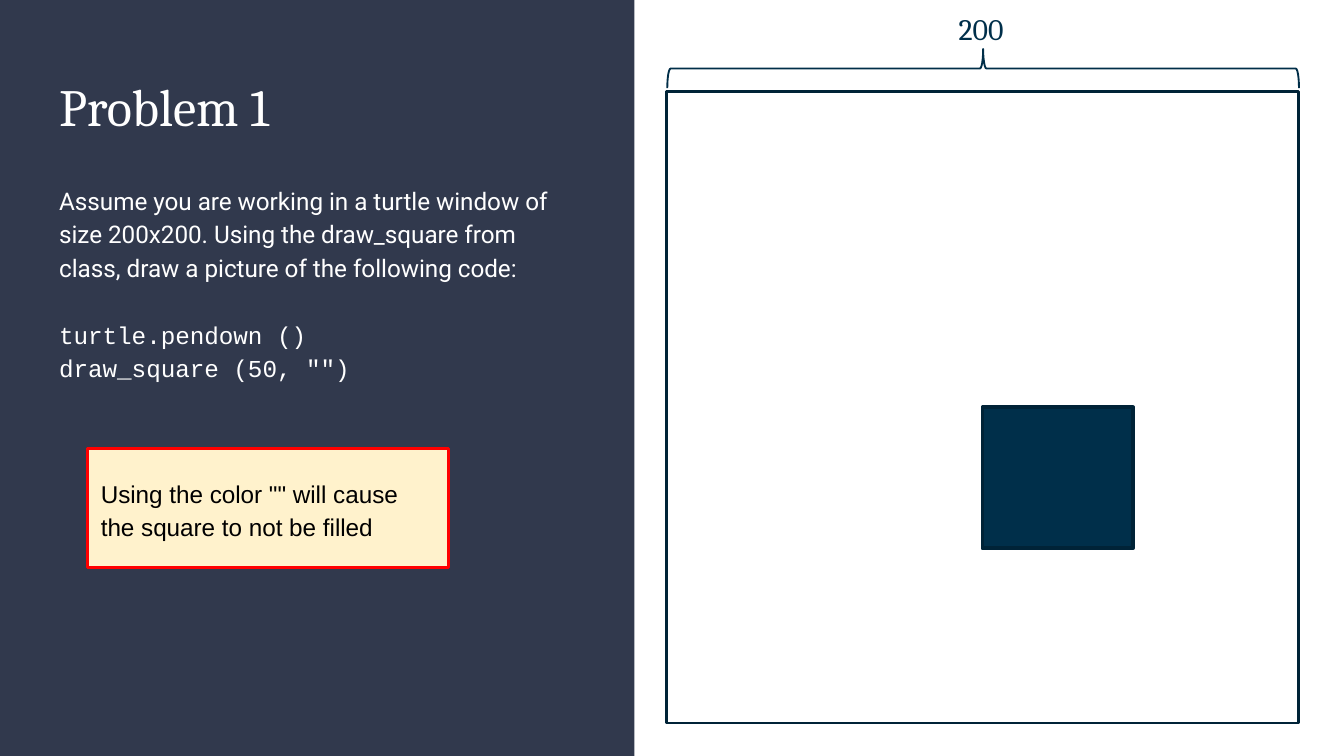
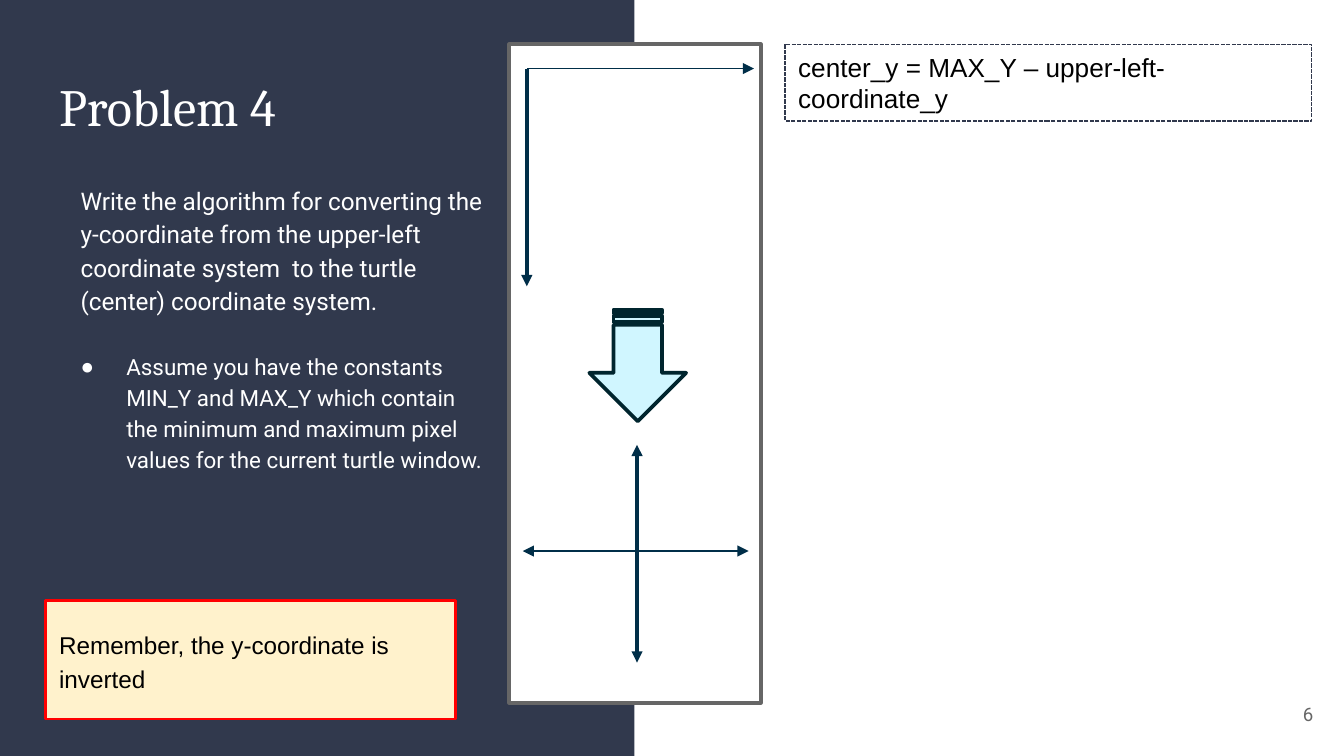
"""Builds two turtle-graphics problem slides with a dark panel on the left."""
from lxml.etree import SubElement
from pptx import Presentation
from pptx.dml.color import RGBColor
from pptx.enum.dml import MSO_LINE
from pptx.enum.shapes import MSO_CONNECTOR, MSO_SHAPE
from pptx.enum.text import MSO_ANCHOR, MSO_AUTO_SIZE, PP_ALIGN
from pptx.oxml.ns import qn
from pptx.util import Emu, Pt

PX = 9144
SLIDE_WIDTH = 1000
SLIDE_HEIGHT = SLIDE_WIDTH * 9 / 16
PANEL_BOX = (0, 0, 472, SLIDE_HEIGHT)
TITLE_BOX = (34, 45, 405, 70)

PANEL = RGBColor(0x31, 0x39, 0x4D)
WHITE = RGBColor(0xFF, 0xFF, 0xFF)
BLACK = RGBColor(0x00, 0x00, 0x00)
CREAM = RGBColor(0xFF, 0xF2, 0xCC)
RED = RGBColor(0xFF, 0x00, 0x00)
GRAY = RGBColor(0x66, 0x66, 0x66)
NAVY = RGBColor(0x00, 0x2F, 0x4A)
AXIS = RGBColor(0x00, 0x2E, 0x48)
OUTLINE = RGBColor(0x00, 0x23, 0x37)
ICE = RGBColor(0xD0, 0xF6, 0xFF)
ARROW_EDGE = RGBColor(0x00, 0x25, 0x2E)

SERIF, SANS, BODY, CODE = "Cambria", "Arial", "Roboto", "Courier New"

PROBLEM_1 = {
    "title": "Problem 1",
    "body_box": (34, 125, 405, 311),
    "body": [
        {"text": "Assume you are working in a turtle window of size 200x200. "
                 "Using the draw_square from class, draw a picture of the following code:"},
        {"text": "turtle.pendown ()", "font": CODE, "before": 18},
        {"text": "draw_square (50, \"\")", "font": CODE},
    ],
    "note": "Using the color \"\" will cause the square to not be filled",
    "note_box": (65, 334, 269, 88),
}
PROBLEM_4 = {
    "title": "Problem 4",
    "body_box": (34, 125, 337, 311),
    "body": [
        {"text": "Write the algorithm for converting the y-coordinate from the upper-left "
                 "coordinate system  to the turtle (center) coordinate system.",
         "indent": (16, 0)},
        {"text": "Assume you have the constants MIN_Y and MAX_Y which contain the minimum "
                 "and maximum pixel values for the current turtle window.",
         "indent": (50, -34), "size": 12, "before": 18, "bullet": "●"},
    ],
    "note": "Remember, the y-coordinate is inverted",
    "note_box": (34, 447, 305, 88),
}
WINDOW_SIZE = "200"
FORMULA = "center_y = MAX_Y – upper-left-coordinate_y"
PAGE_NUMBER = "6"

AXES = [
    {"start": (389, 410), "end": (557, 410), "width": 0.75, "heads": ("headEnd", "tailEnd")},
    {"start": (474, 493), "end": (474, 331), "width": 2, "heads": ("headEnd", "tailEnd")},
    {"start": (392, 51), "end": (561, 51), "width": 0.75, "heads": ("tailEnd",)},
    {"start": (392, 213), "end": (392, 51), "width": 2, "heads": ("headEnd",)},
]


def scaled(lengths):
    return [Emu(length * PX) for length in lengths]


def place(shape, box):
    shape.left, shape.top, shape.width, shape.height = scaled(box)


def paint(shape, fill=None, line=None, width=1):
    if fill is None:
        shape.fill.background()
    else:
        shape.fill.solid()
        shape.fill.fore_color.rgb = fill
    if line is None:
        shape.line.fill.background()
    else:
        shape.line.color.rgb = line
        shape.line.width = Pt(width)


def add_figure(slide, kind, box, fill=None, line=None, width=1, rotation=0):
    shape = slide.shapes.add_shape(kind, *scaled(box))
    shape.shadow.inherit = False
    shape.rotation = rotation
    paint(shape, fill, line, width)
    return shape


def set_frame(shape, anchor=MSO_ANCHOR.TOP, side=10, edge=10):
    frame = shape.text_frame
    frame.word_wrap = True
    frame.auto_size = MSO_AUTO_SIZE.NONE
    frame.vertical_anchor = anchor
    frame.margin_left, frame.margin_top, frame.margin_right, frame.margin_bottom = scaled(
        (side, edge, side, edge))
    return frame


def write(paragraph, text, font, size, color, align=PP_ALIGN.LEFT):
    paragraph.alignment = align
    run = paragraph.add_run()
    run.text = text
    run.font.name, run.font.size = font, Pt(size)
    run.font.color.rgb = color


def set_list_style(paragraph, indent=(0, 0), bullet=None, before=0):
    paragraph.line_spacing = 1.15
    paragraph.space_before = Pt(before)
    properties = paragraph._p.get_or_add_pPr()
    margin, first_line = scaled(indent)
    properties.set("marL", str(margin))
    properties.set("indent", str(first_line))
    if bullet is None:
        SubElement(properties, qn("a:buNone"))
    else:
        bullet_color = SubElement(properties, qn("a:buClr"))
        SubElement(bullet_color, qn("a:srgbClr"), val=str(WHITE))
        SubElement(properties, qn("a:buFont"), typeface=SANS)
        SubElement(properties, qn("a:buChar"), char=bullet)


def add_panel(slide, layout):
    panel = add_figure(slide, MSO_SHAPE.RECTANGLE, PANEL_BOX, PANEL)
    layout.shapes.element.insert(2, panel.element)


def add_problem(presentation, layout, content):
    slide = presentation.slides.add_slide(layout)
    title, body, note = slide.placeholders

    place(title, TITLE_BOX)
    write(set_frame(title).paragraphs[0], content["title"], SERIF, 28, WHITE)

    place(body, content["body_box"])
    frame = set_frame(body)
    for index, item in enumerate(content["body"]):
        paragraph = frame.add_paragraph() if index else frame.paragraphs[0]
        set_list_style(paragraph, item.get("indent", (0, 0)), item.get("bullet"),
                       item.get("before", 0))
        write(paragraph, item["text"], item.get("font", BODY), item.get("size", 13), WHITE)

    place(note, content["note_box"])
    paint(note, CREAM, RED, 1.5)
    paragraph = set_frame(note, MSO_ANCHOR.MIDDLE).paragraphs[0]
    set_list_style(paragraph)
    write(paragraph, content["note"], SANS, 13, BLACK)
    return slide


def draw_turtle_window(slide):
    add_figure(slide, MSO_SHAPE.RECTANGLE, (496, 68, 470, 470), line=OUTLINE, width=1.5)
    add_figure(slide, MSO_SHAPE.LEFT_BRACE, (717, -184, 29, 470), line=AXIS, rotation=90)
    label = slide.shapes.add_textbox(*scaled((696, 3, 68, 37)))
    paragraph = set_frame(label, edge=5).paragraphs[0]
    write(paragraph, WINDOW_SIZE, SERIF, 16, NAVY, PP_ALIGN.CENTER)
    add_figure(slide, MSO_SHAPE.RECTANGLE, (731, 303, 112, 105), NAVY, OUTLINE, 2)


def add_axis(slide, start, end, width, heads):
    axis = slide.shapes.add_connector(MSO_CONNECTOR.STRAIGHT, *scaled(start + end))
    axis.line.color.rgb = AXIS
    axis.line.width = Pt(width)
    line = axis.line._get_or_add_ln()
    for head in heads:
        SubElement(line, qn(f"a:{head}"), type="triangle")
    SubElement(axis.element.spPr, qn("a:effectLst"))


def draw_coordinate_systems(slide):
    add_figure(slide, MSO_SHAPE.RECTANGLE, (379, 33, 187, 490), WHITE, GRAY, 2)
    for axis in AXES:
        add_axis(slide, **axis)
    add_figure(slide, MSO_SHAPE.STRIPED_RIGHT_ARROW, (433, 236, 83, 72), ICE, ARROW_EDGE, 2, 90)

    formula = add_figure(slide, MSO_SHAPE.RECTANGLE, (584, 33, 392, 57), line=PANEL, width=0.75)
    formula.line.dash_style = MSO_LINE.SQUARE_DOT
    write(set_frame(formula, edge=5).paragraphs[0], FORMULA, SANS, 14, BLACK)

    number = slide.shapes.add_textbox(*scaled((927, 510, 60, 43)))
    paragraph = set_frame(number, MSO_ANCHOR.MIDDLE).paragraphs[0]
    write(paragraph, PAGE_NUMBER, BODY, 10, GRAY, PP_ALIGN.RIGHT)


def main():
    presentation = Presentation()
    presentation.slide_width, presentation.slide_height = scaled((SLIDE_WIDTH, SLIDE_HEIGHT))
    layout = presentation.slide_layouts.get_by_name("Two Content")

    window_slide = add_problem(presentation, layout, PROBLEM_1)
    add_panel(window_slide, layout)
    draw_turtle_window(window_slide)
    draw_coordinate_systems(add_problem(presentation, layout, PROBLEM_4))
    presentation.save("out.pptx")


if __name__ == "__main__":
    main()
